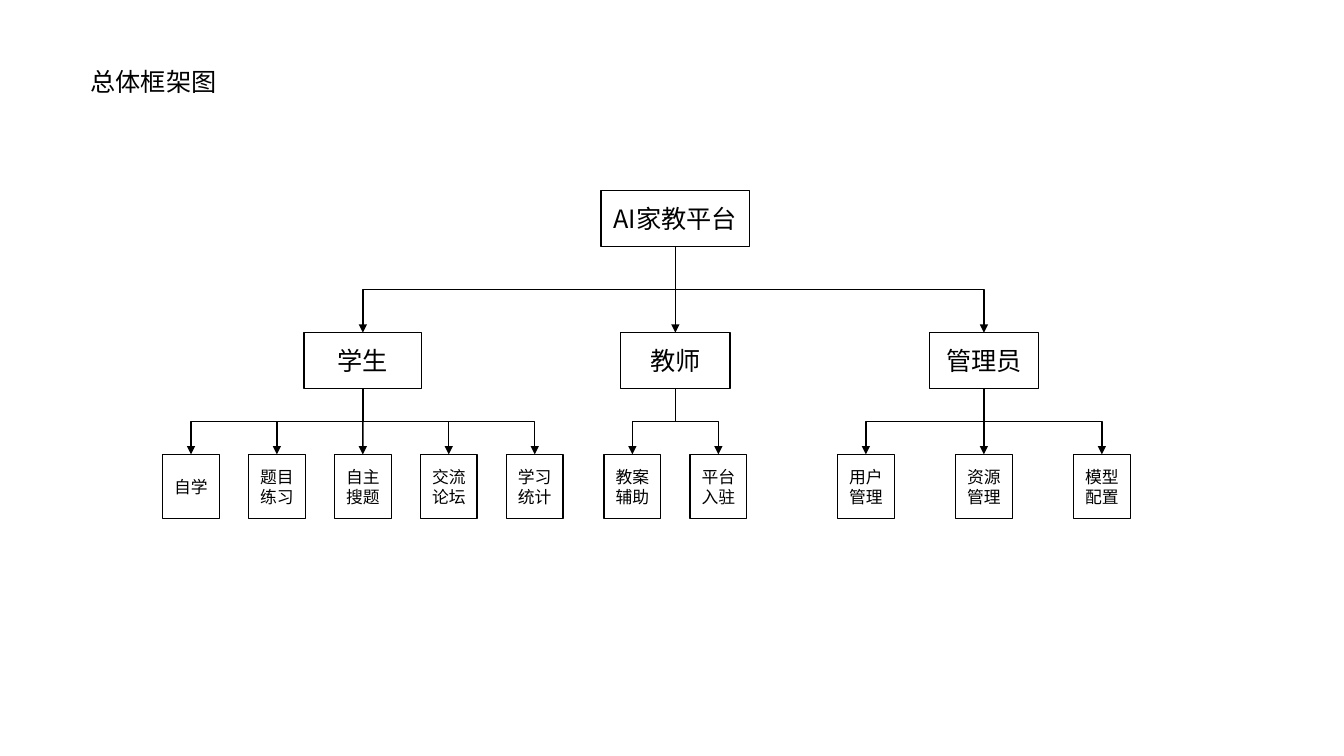
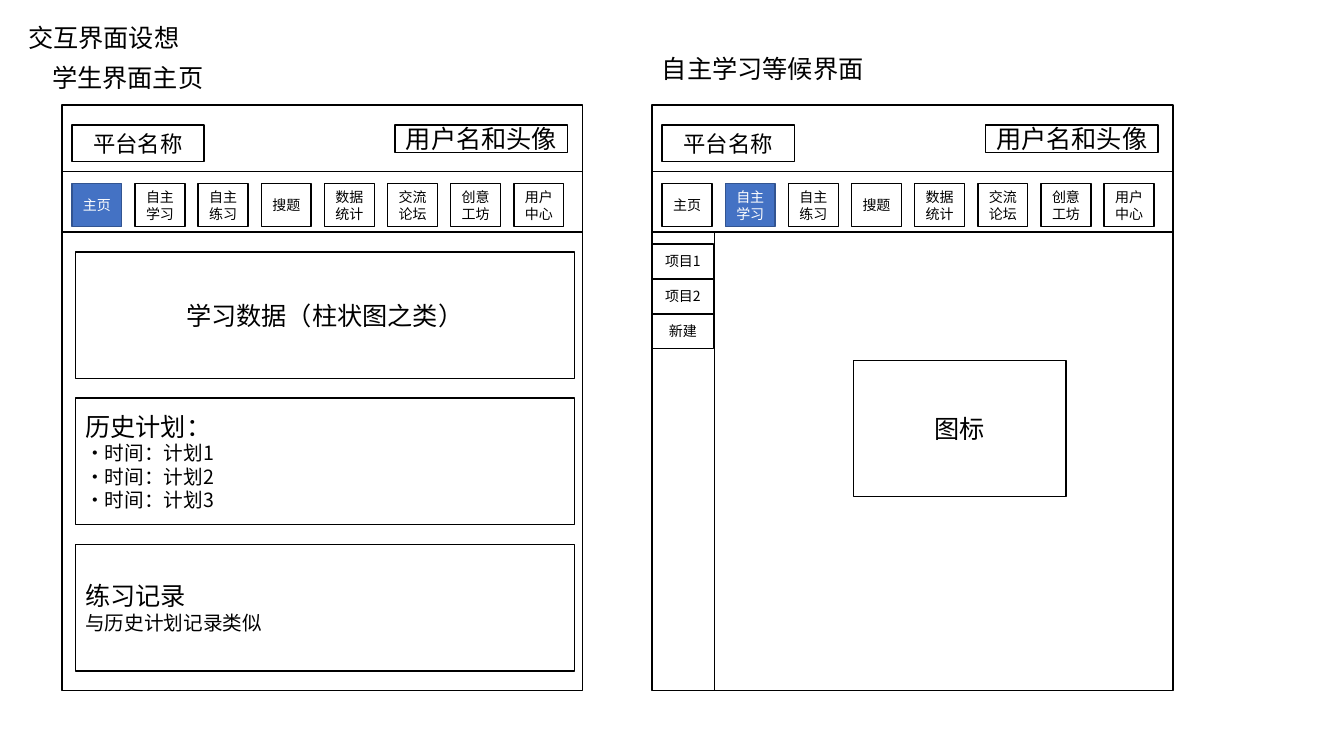
from dataclasses import dataclass

from lxml import etree
from pptx import Presentation
from pptx import util as u
from pptx.dml.color import RGBColor
from pptx.enum import shapes, text
from pptx.oxml.ns import qn

Pt = u.Pt


@dataclass(frozen=True)
class Theme:
    font: str = "Noto Sans CJK SC"
    ink: RGBColor = RGBColor(0, 0, 0)
    paper: RGBColor = RGBColor(255, 255, 255)
    accent: RGBColor = RGBColor(0x44, 0x72, 0xC4)
    accent_edge: RGBColor = RGBColor(0x32, 0x54, 0x91)
    large: int = 18
    brand: int = 16
    body: int = 14
    leaf: int = 12
    nav: int = 10
    stroke: int = 1


T = Theme()
CENTER, LEFT = text.PP_ALIGN.CENTER, text.PP_ALIGN.LEFT
STRAIGHT, ELBOW = shapes.MSO_CONNECTOR.STRAIGHT, shapes.MSO_CONNECTOR.ELBOW


def box(s, at, lines=(), align=CENTER, active=False, framed=True):
    at = [Pt(v) for v in at]
    if framed:
        sp = s.shapes.add_shape(shapes.MSO_SHAPE.RECTANGLE, *at)
        sp.shadow.inherit = False
        sp.fill.solid()
        sp.fill.fore_color.rgb = T.accent if active else T.paper
        sp.line.color.rgb = T.accent_edge if active else T.ink
        sp.line.width = Pt(T.stroke)
    else:
        sp = s.shapes.add_textbox(*at)
    tf = sp.text_frame
    tf.word_wrap = True
    if framed:
        tf.vertical_anchor = text.MSO_ANCHOR.MIDDLE
    else:
        tf.auto_size = text.MSO_AUTO_SIZE.SHAPE_TO_FIT_TEXT
    for i, (words, size) in enumerate(lines):
        p = tf.add_paragraph() if i else tf.paragraphs[0]
        p.text = words
        p.alignment = align
        for r in p.runs:
            r.font.size = Pt(size)
            r.font.color.rgb = T.paper if active else T.ink
            r.font.name = T.font
            etree.SubElement(r.font._element, qn("a:ea"), typeface=T.font)
    return sp


def connect(s, kind, x1, y1, x2, y2, arrow=False):
    c = s.shapes.add_connector(kind, x1, y1, x2, y2)
    c.line.color.rgb = T.ink
    c.line.width = Pt(T.stroke)
    props = c.element.spPr
    if arrow:
        etree.SubElement(props.find(qn("a:ln")), qn("a:tailEnd"), type="triangle")
    etree.SubElement(props, qn("a:effectLst"))
    return c


prs = Presentation()
prs.slide_width, prs.slide_height = Pt(960), Pt(540)
blank = prs.slide_layouts[6]

s = prs.slides.add_slide(blank)
box(s, (57.6, 44, 116.6, 29), [("总体框架图", T.large)], LEFT, framed=False)

middle = 482.4
root_w, role_h = 106, 40
leaf_w, leaf_h = 40.6, 46
root = box(s, (middle - root_w / 2, 136, root_w, role_h), [("AI家教平台", T.large)])
roles = [
    ("学生", 259.2, 84, 61.4, ["自学", "题目练习", "自主搜题", "交流论坛", "学习统计"]),
    ("教师", middle, 78, 61.4, ["教案辅助", "平台入驻"]),
    ("管理员", 702.8, 78, 84.3, ["用户管理", "资源管理", "模型配置"]),
]
links = []
for name, x, width, step, leaves in roles:
    role = box(s, (x - width / 2, 237.6, width, role_h), [(name, T.large)])
    links.append((root, role))
    for i, leaf in enumerate(leaves):
        left = x + (i - (len(leaves) - 1) / 2) * step - leaf_w / 2
        links.append((role, box(s, (left, 324.6, leaf_w, leaf_h), [(leaf, T.leaf)])))

for parent, child in links:
    x1, y1 = parent.left + parent.width // 2, parent.top + parent.height
    x2, y2 = child.left + child.width // 2, child.top
    bent = abs(x2 - x1) > Pt(1)
    c = connect(s, ELBOW if bent else STRAIGHT, x1, y1, x2, y2, arrow=True)
    c.begin_connect(parent, 2)
    c.end_connect(child, 0)
    if bent:
        c.width, c.height = y2 - y1, abs(x2 - x1)
        c.left = (x1 + x2 - c.width) // 2
        c.top = (y1 + y2 - c.height) // 2
        xfrm = c.element.spPr.find(qn("a:xfrm"))
        rightward = x2 > x1
        xfrm.set("rot", "16200000" if rightward else "5400000")
        xfrm.set("flipH", "1" if rightward else "0")
        xfrm.set("flipV", "0")

s = prs.slides.add_slide(blank)
for words, left, top, width in [
    ("交互界面设想", 13, 12.2, 143),
    ("学生界面主页", 30.2, 41, 134.6),
    ("自主学习等候界面", 465.8, 34.6, 161.3),
]:
    box(s, (left, top, width, 29), [(words, T.large)], LEFT, framed=False)

home_x, study_x = 44.2, 465.8
screen_y, screen_w, screen_h = 75, 372, 418.4
header_y, nav_y = 122.4, 165.6
nav = ["主页", "自主学习", "自主练习", "搜题", "数据统计", "交流论坛", "创意工坊", "用户中心"]
for x, current in [(home_x, "主页"), (study_x, "自主学习")]:
    box(s, (x, screen_y, screen_w, screen_h))
    for y in (header_y, nav_y):
        connect(s, STRAIGHT, Pt(x), Pt(y), Pt(x + screen_w), Pt(y))
    box(s, (x + 7.2, 89.2, 94.4, 26), [("平台名称", T.brand)])
    box(s, (x + 238, 89.2, 123.4, 19.6), [("用户名和头像", T.large)])
    for i, item in enumerate(nav):
        box(s, (x + 7.2 + i * 45.1, 131, 35.6, 31), [(item, T.nav)], active=item == current)

cards = [
    ([("学习数据（柱状图之类）", T.large)], CENTER),
    ([("历史计划：", T.large)] + [(f"·时间：计划{n}", T.body) for n in (1, 2, 3)], LEFT),
    ([("练习记录", T.large), ("与历史计划记录类似", T.body)], LEFT),
]
for i, (lines, align) in enumerate(cards):
    box(s, (53.8, 180 + i * 104.4, 356.4, 90.4), lines, align)

sidebar_x = 510.6
connect(s, STRAIGHT, Pt(sidebar_x), Pt(nav_y), Pt(sidebar_x), Pt(screen_y + screen_h))
for i, item in enumerate(["项目1", "项目2", "新建"]):
    box(s, (study_x, 174.2 + i * 25, 44, 25), [(item, T.nav)])
box(s, (609.6, 257.6, 152, 97.2), [("图标", T.large)])

prs.save("out.pptx")
